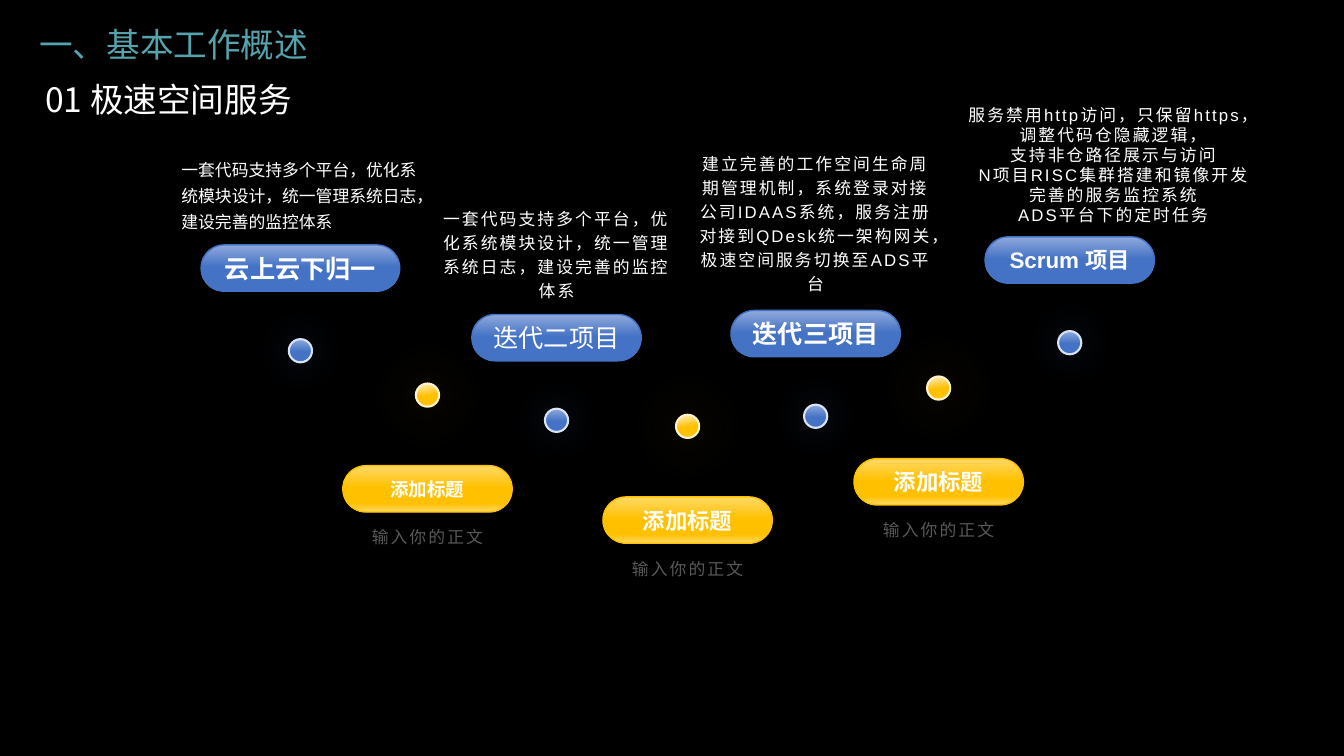
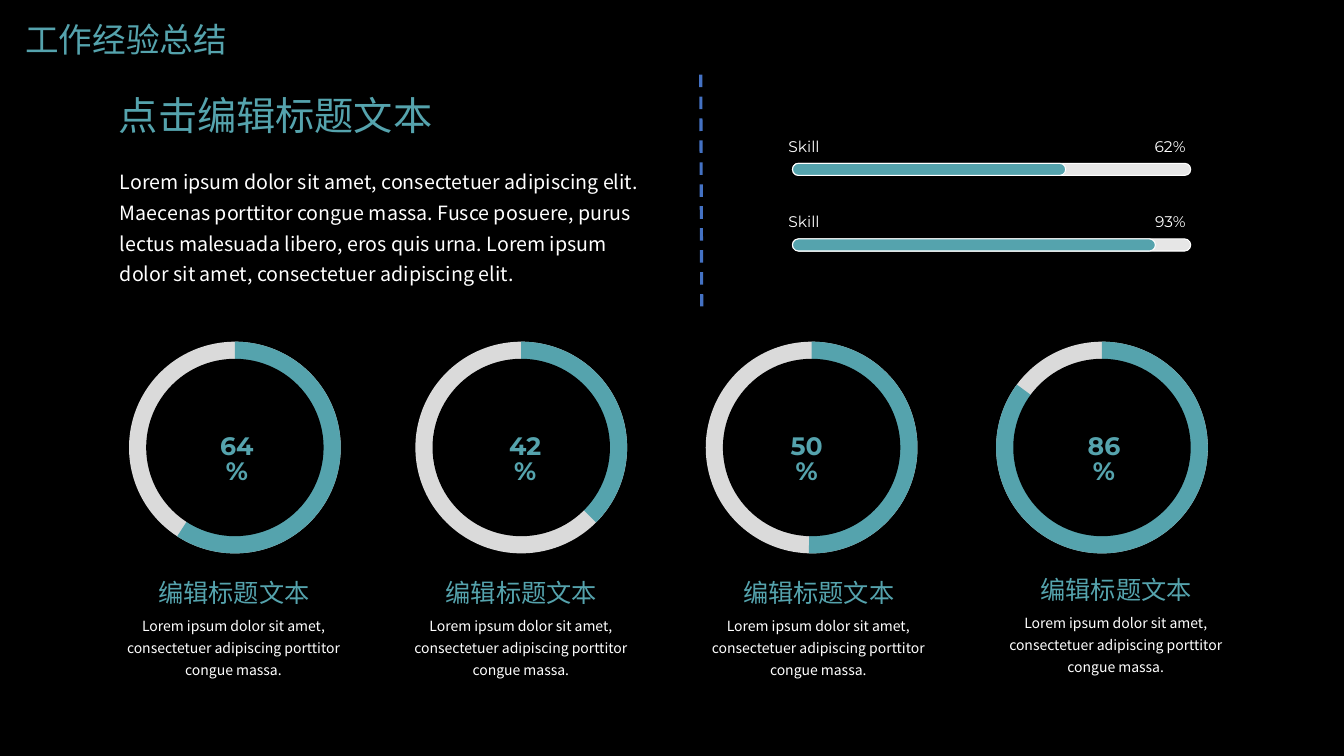
from lxml.etree import SubElement
from pptx import Presentation
from pptx.dml.color import RGBColor
from pptx.enum.dml import MSO_LINE_DASH_STYLE as Dash
from pptx.enum.shapes import MSO_CONNECTOR, MSO_SHAPE as Shape
from pptx.enum.text import MSO_ANCHOR as Anchor, PP_ALIGN as Align
from pptx.oxml import parse_xml
from pptx.oxml.ns import nsdecls, qn
from pptx.util import Inches, Pt

BLACK, WHITE, TEAL, BLUE, GOLD = "000000", "FFFFFF", "55A3AD", "4472C4", "FFC000"
RING, TRACK, GREY = "DADADA", "E6E6E6", "595959"
SANS, LATIN, ACCENT = "Noto Sans CJK SC", "Arial", "Montserrat"

THEMES = {
    "blue": dict(
        pill=[(0, "8FAADC"), (48, BLUE), (100, BLUE)], edge=BLUE,
        dot=[(0, "8FAADC"), (54, BLUE)], dot_angle=90, rim="DAE3F3",
        glow=(BLUE, 30, 27), dot_offset=0.93),
    "gold": dict(
        pill=[(0, "FFD966"), (48, GOLD), (81, GOLD), (100, "FFD966")], edge=GOLD,
        dot=[(0, "FFF2CC"), (54, GOLD), (81, GOLD), (100, "FFD966")], dot_angle=80,
        rim="FFF2CC", glow=(GOLD, 46, 28), dot_offset=-0.82),
}

SPACED = dict(size=12, font=LATIN, spacing=1.5, line=1.2, after=10, align=Align.CENTER)
PLAIN = dict(size=12, line=1.3)
TIGHT = dict(SPACED, line=0.3)

PLATFORM = "一套代码支持多个平台，优化系统模块设计，统一管理系统日志，建设完善的监控体系"
WORKSPACE = ("建立完善的工作空间生命周期管理机制，系统登录对接公司IDAAS系统，"
             "服务注册对接到QDesk统一架构网关，极速空间服务切换至ADS平台")
SCRUM = [
    "服务禁用http访问，只保留https，",
    "调整代码仓隐藏逻辑，",
    "支持非仓路径展示与访问",
    "N项目RISC集群搭建和镜像开发",
    "完善的服务监控系统",
    "ADS平台下的定时任务",
]
PROMPT = "输入你的正文"

MILESTONES = [
    dict(theme="blue", center=2.98, top=2.43, width=1.97, label="云上云下归一", size=18,
         body=PLATFORM, style=PLAIN, body_bottom=2.3),
    dict(theme="gold", center=4.24, top=4.62, label="添加标题", size=13.2),
    dict(theme="blue", center=5.52, top=3.12, label="迭代二项目", size=18,
         font=SANS, bold=False, body=PLATFORM, style=SPACED, body_bottom=2.99),
    dict(theme="gold", center=6.82, top=4.93, label="添加标题", size=16),
    dict(theme="blue", center=8.09, top=3.08, label="迭代三项目", size=18,
         body=WORKSPACE, style=SPACED, body_bottom=2.92),
    dict(theme="gold", center=9.31, top=4.55, label="添加标题", size=16),
    dict(theme="blue", center=10.61, top=2.35, label="Scrum 项目", size=16,
         body=SCRUM, style=TIGHT, body_bottom=2.21, body_center=11.04, body_width=3.23),
]

INTRO = ("Lorem ipsum dolor sit amet, consectetuer adipiscing elit. Maecenas porttitor "
         "congue massa. Fusce posuere, purus lectus malesuada libero, eros quis urna. "
         "Lorem ipsum dolor sit amet, consectetuer adipiscing elit.")
CAPTION = "编辑标题文本"
DETAIL = "Lorem ipsum dolor sit amet, consectetuer adipiscing porttitor congue massa."
RINGS = [
    dict(center=2.33, sweep=213, value="64 %", value_center=2.35, text_center=2.32, top=5.68),
    dict(center=5.17, sweep=135, value="42 %", value_center=5.21, text_center=5.17, top=5.68),
    dict(center=8.05, sweep=181.5, value="50 %", value_center=8, text_center=8.12, top=5.68),
    dict(center=10.93, sweep=306.5, value="86 %", value_center=10.95, text_center=11.07, top=5.65),
]
RING_MIDDLE, RING_SIZE, HOLE_SIZE = 4.44, 2.1, 1.76
SKILLS = [("Skill", "62%", 2.71), ("Skill", "93%", 3.6)]


def color(value):
    return RGBColor.from_string(value)


def write(holder, text, size=12, font=SANS, ink=WHITE, bold=False, align=Align.LEFT,
          anchor=Anchor.TOP, line=None, after=0, spacing=0, inset=0):
    frame = holder.text_frame
    frame.word_wrap = True
    frame.vertical_anchor = anchor
    frame.margin_left = frame.margin_right = Inches(inset)
    frame.margin_top = frame.margin_bottom = Inches(inset)
    for index, words in enumerate([text] if isinstance(text, str) else text):
        para = frame.add_paragraph() if index else frame.paragraphs[0]
        para.alignment = align
        para.space_after = Pt(after)
        if line:
            para.line_spacing = line
        span = para.add_run()
        span.text = words
        span.font.size, span.font.name, span.font.bold = Pt(size), font, bold
        span.font.color.rgb = color(ink)
        props = span.font._element
        SubElement(props, qn("a:ea")).set("typeface", font)
        if spacing:
            props.set("spc", str(int(spacing * 100)))


def add_text(page, text, left, top, width, height, **style):
    box = page.shapes.add_textbox(Inches(left), Inches(top), Inches(width), Inches(height))
    write(box, text, **style)


def add_form(page, kind, left, top, width, height, fill=None, edge=None, weight=1):
    form = page.shapes.add_shape(kind, Inches(left), Inches(top), Inches(width), Inches(height))
    form.shadow.inherit = False
    if fill:
        form.fill.solid()
        form.fill.fore_color.rgb = color(fill)
    if edge:
        form.line.color.rgb = color(edge)
        form.line.width = Pt(weight)
    else:
        form.line.fill.background()
    if kind == Shape.ROUNDED_RECTANGLE:
        form.adjustments[0] = 0.5
    return form


def add_circle(page, center, middle, size, **style):
    return add_form(page, Shape.OVAL, center - size / 2, middle - size / 2, size, size, **style)


def set_gradient(form, stops, angle):
    marks = "".join(f'<a:gs pos="{pos * 1000}"><a:srgbClr val="{value}"/></a:gs>'
                    for pos, value in stops)
    geometry = form._element.spPr.find(qn("a:prstGeom"))
    geometry.addnext(parse_xml(
        f'<a:gradFill {nsdecls("a")} rotWithShape="1"><a:gsLst>{marks}</a:gsLst>'
        f'<a:lin ang="{angle * 60000}" scaled="0"/></a:gradFill>'))


def set_glow(form, value, blur, alpha):
    effects = form._element.spPr.find(qn("a:effectLst"))
    effects.append(parse_xml(
        f'<a:outerShdw {nsdecls("a")} blurRad="{Pt(blur)}" dist="0" dir="0" algn="ctr" '
        f'rotWithShape="0"><a:srgbClr val="{value}"><a:alpha val="{alpha * 1000}"/>'
        f'</a:srgbClr></a:outerShdw>'))


def add_page(deck, title, left, top):
    page = deck.slides.add_slide(deck.slide_layouts[6])
    page.background.fill.solid()
    page.background.fill.fore_color.rgb = color(BLACK)
    add_text(page, title, left, top, 4.11, 0.5, size=24, ink=TEAL, inset=0.05)
    return page


def add_milestone(page, item):
    theme, center, top = THEMES[item["theme"]], item["center"], item["top"]
    width = item.get("width", 1.68)
    pill = add_form(page, Shape.ROUNDED_RECTANGLE, center - width / 2, top, width, 0.46,
                    edge=theme["edge"])
    set_gradient(pill, theme["pill"], 90)
    write(pill, item["label"], size=item["size"], font=item.get("font", LATIN),
          bold=item.get("bold", True), align=Align.CENTER, anchor=Anchor.MIDDLE)

    dot = add_circle(page, center, top + theme["dot_offset"] + 0.12, 0.23,
                     edge=theme["rim"], weight=1.5)
    set_gradient(dot, theme["dot"], theme["dot_angle"])
    set_glow(dot, *theme["glow"])

    if "body" in item:
        wide = item.get("body_width", 2.36)
        left = item.get("body_center", center) - wide / 2
        add_text(page, item["body"], left, item["body_bottom"] - 0.98, wide, 0.98,
                 anchor=Anchor.BOTTOM, **item["style"])
    else:
        add_text(page, PROMPT, center - 1.18, top + 0.57, 2.36, 0.77, ink=GREY, **SPACED)


def add_ring(page, item):
    center = item["center"]
    add_circle(page, center, RING_MIDDLE, RING_SIZE, fill=RING)
    sector = add_form(page, Shape.PIE, center - RING_SIZE / 2, RING_MIDDLE - RING_SIZE / 2,
                      RING_SIZE, RING_SIZE, fill=TEAL)
    for index, degrees in enumerate((270, (270 + item["sweep"]) % 360)):
        sector.adjustments[index] = degrees * 0.6
    add_circle(page, center, RING_MIDDLE, HOLE_SIZE, fill=BLACK)
    add_text(page, item["value"], item["value_center"] - 0.25, 4.32, 0.5, 0.26, size=18,
             font=ACCENT, ink=TEAL, bold=True, align=Align.CENTER, line=Pt(18))
    middle, top = item["text_center"], item["top"]
    add_text(page, CAPTION, middle - 1.05, top, 2.1, 0.4, size=18, ink=TEAL,
             align=Align.CENTER, inset=0.05)
    add_text(page, DETAIL, middle - 1.2, top + 0.34, 2.39, 0.75, size=10,
             align=Align.CENTER, line=1.3, inset=0.06)


def add_skill(page, top, name, value, filled):
    for width, fill in ((3.95, TRACK), (filled, TEAL)):
        add_form(page, Shape.ROUNDED_RECTANGLE, 7.86, top, width, 0.12,
                 fill=fill, edge=WHITE, weight=0.75)
    for text, left, align in ((name, 7.77, Align.LEFT), (value, 10.05, Align.RIGHT)):
        add_text(page, text, left, top - 0.31, 1.76, 0.28, size=11, font=ACCENT,
                 align=align, line=Pt(13), inset=0.05)


def add_divider(page):
    divider = page.shapes.add_connector(MSO_CONNECTOR.STRAIGHT, Inches(6.95), Inches(0.74),
                                        Inches(6.96), Inches(3.04))
    divider.line.color.rgb = color(BLUE)
    divider.line.width = Pt(2.25)
    divider.line.dash_style = Dash.DASH
    SubElement(divider._element.spPr, qn("a:effectLst"))


def build_overview(deck):
    page = add_page(deck, "一、基本工作概述", 0.34, 0.19)
    add_text(page, "01 极速空间服务", 0.4, 0.61, 10.73, 0.62, size=24, line=1.3, inset=0.05)
    for item in MILESTONES:
        add_milestone(page, item)


def build_summary(deck):
    page = add_page(deck, "工作经验总结", 0.2, 0.14)
    add_text(page, "点击编辑标题文本", 1.13, 0.86, 3.65, 0.57, size=28, ink=TEAL, inset=0.05)
    add_text(page, INTRO, 1.13, 1.56, 5.37, 1.31, size=14, line=1.3, inset=0.06)
    add_divider(page)
    for index, skill in enumerate(SKILLS):
        add_skill(page, 1.62 + 0.75 * index, *skill)
    for item in RINGS:
        add_ring(page, item)


def main():
    deck = Presentation()
    deck.slide_width, deck.slide_height = Inches(13.33), Inches(7.5)
    build_overview(deck)
    build_summary(deck)
    deck.save("out.pptx")


if __name__ == "__main__":
    main()
